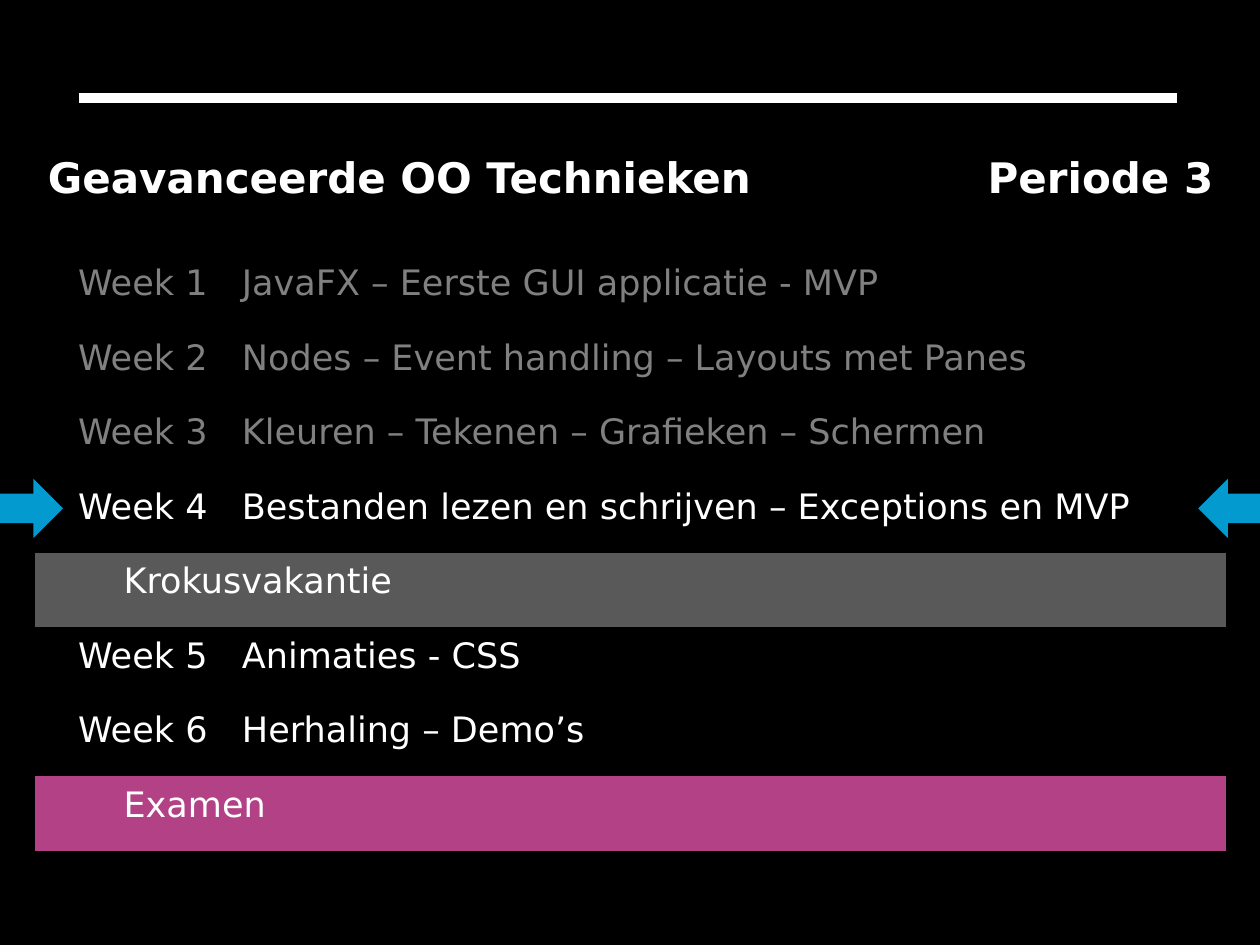
"""Build the course schedule slide with the current week marked by arrows."""
from lxml.etree import SubElement
from pptx import Presentation
from pptx.dml.color import RGBColor as RGB
from pptx.enum.shapes import MSO_CONNECTOR as LINE, MSO_SHAPE as SHAPE
from pptx.enum.text import PP_ALIGN as ALIGN
from pptx.oxml.ns import qn
from pptx.util import Pt

COLORS = {"back": "000000", "text": "FFFFFF", "past": "808080",
          "holiday": "595959", "exam": "B34185", "arrow": "039BCF"}
FONT = "DejaVu Sans"
NO_STYLE = "{2D5ABB26-0587-4C30-8999-92F81FD0307C}"
COURSE, PERIOD = "Geavanceerde OO Technieken", "Periode 3"
SCHEDULE = [
    ("Week 1", "JavaFX – Eerste GUI applicatie - MVP", "past"),
    ("Week 2", "Nodes – Event handling – Layouts met Panes", "past"),
    ("Week 3", "Kleuren – Tekenen – Grafieken – Schermen", "past"),
    ("Week 4", "Bestanden lezen en schrijven – Exceptions en MVP", "text"),
    ("Krokusvakantie", None, "holiday"),
    ("Week 5", "Animaties - CSS", "text"),
    ("Week 6", "Herhaling – Demo’s", "text"),
    ("Examen", None, "exam"),
]
WIDTH, HEIGHT = 720, 540
LEFT, TOP = 20.2, 83.5
COLS = [16.5, 93.6, 398.2, 116.6, 54.7]
ROW_H, SPACER_H = 42.6, 19.4
INSET, INDENT = 7.2, 26
RULE_X, RULE_END, RULE_Y = 45.4, 672.5, 56
ARROW_W, ARROW_H, ARROW_Y = 36.7, 33.8, 273.6


def color(name):
    return RGB.from_string(COLORS[name])


def write(cell, text, size, name="text", bold=False, align=ALIGN.LEFT):
    p = cell.text_frame.paragraphs[0]
    p.alignment = align
    r = p.add_run()
    r.text = text
    r.font.name, r.font.size, r.font.bold = FONT, Pt(size), bold
    r.font.color.rgb = color(name)


def add_rule(slide):
    line = slide.shapes.add_connector(LINE.STRAIGHT, Pt(RULE_X), Pt(RULE_Y),
                                      Pt(RULE_END), Pt(RULE_Y))
    line.line.color.rgb = color("text")
    line.line.width = Pt(6)
    SubElement(line._element.spPr, qn("a:effectLst"))


def add_schedule(slide):
    heights = [ROW_H, SPACER_H] + [ROW_H] * len(SCHEDULE)
    frame = slide.shapes.add_table(len(heights), len(COLS), Pt(LEFT), Pt(TOP),
                                   Pt(sum(COLS)), Pt(sum(heights)))
    table = frame.table
    table.first_row = table.horz_banding = False
    table._tbl.tblPr.find(qn("a:tableStyleId")).text = NO_STYLE
    for col, width in zip(table.columns, COLS):
        col.width = Pt(width)
    for row, height in zip(table.rows, heights):
        row.height = Pt(height)
    for cell in table.iter_cells():
        cell.fill.background()
        cell.margin_top = cell.margin_bottom = Pt(5)

    def merge(row, first, last):
        table.cell(row, first).merge(table.cell(row, last))

    merge(0, 0, 2)
    merge(0, 3, 4)
    write(table.cell(0, 0), COURSE, 24, bold=True)
    write(table.cell(0, 3), PERIOD, 24, bold=True, align=ALIGN.RIGHT)

    merge(1, 0, 4)
    for cell in table.rows[1].cells:
        cell.margin_top = cell.margin_bottom = 0
        p = cell.text_frame.paragraphs[0]
        SubElement(p._p, qn("a:endParaRPr"), sz="1000")

    for i, (label, topic, name) in enumerate(SCHEDULE, 2):
        first = table.cell(i, 1)
        if topic:
            merge(i, 2, 4)
            write(first, label, 20, name)
            write(table.cell(i, 2), topic, 20, name)
        else:
            merge(i, 1, 4)
            first.margin_left = Pt(INSET + INDENT)
            write(first, label, 20)
            for cell in table.rows[i].cells:
                cell.fill.solid()
                cell.fill.fore_color.rgb = color(name)


def add_arrow(slide, x, rotation):
    s = slide.shapes.add_shape(SHAPE.RIGHT_ARROW, Pt(x), Pt(ARROW_Y),
                               Pt(ARROW_W), Pt(ARROW_H))
    s.rotation = rotation
    s.shadow.inherit = False
    s.fill.solid()
    s.fill.fore_color.rgb = color("arrow")
    s.line.fill.background()


def main():
    prs = Presentation()
    prs.slide_width, prs.slide_height = Pt(WIDTH), Pt(HEIGHT)
    slide = prs.slides.add_slide(prs.slide_layouts[6])
    slide.background.fill.solid()
    slide.background.fill.fore_color.rgb = color("back")
    add_rule(slide)
    add_schedule(slide)
    add_arrow(slide, -0.7, 0)
    add_arrow(slide, 684.7, 180)
    prs.save("out.pptx")


if __name__ == "__main__":
    main()
